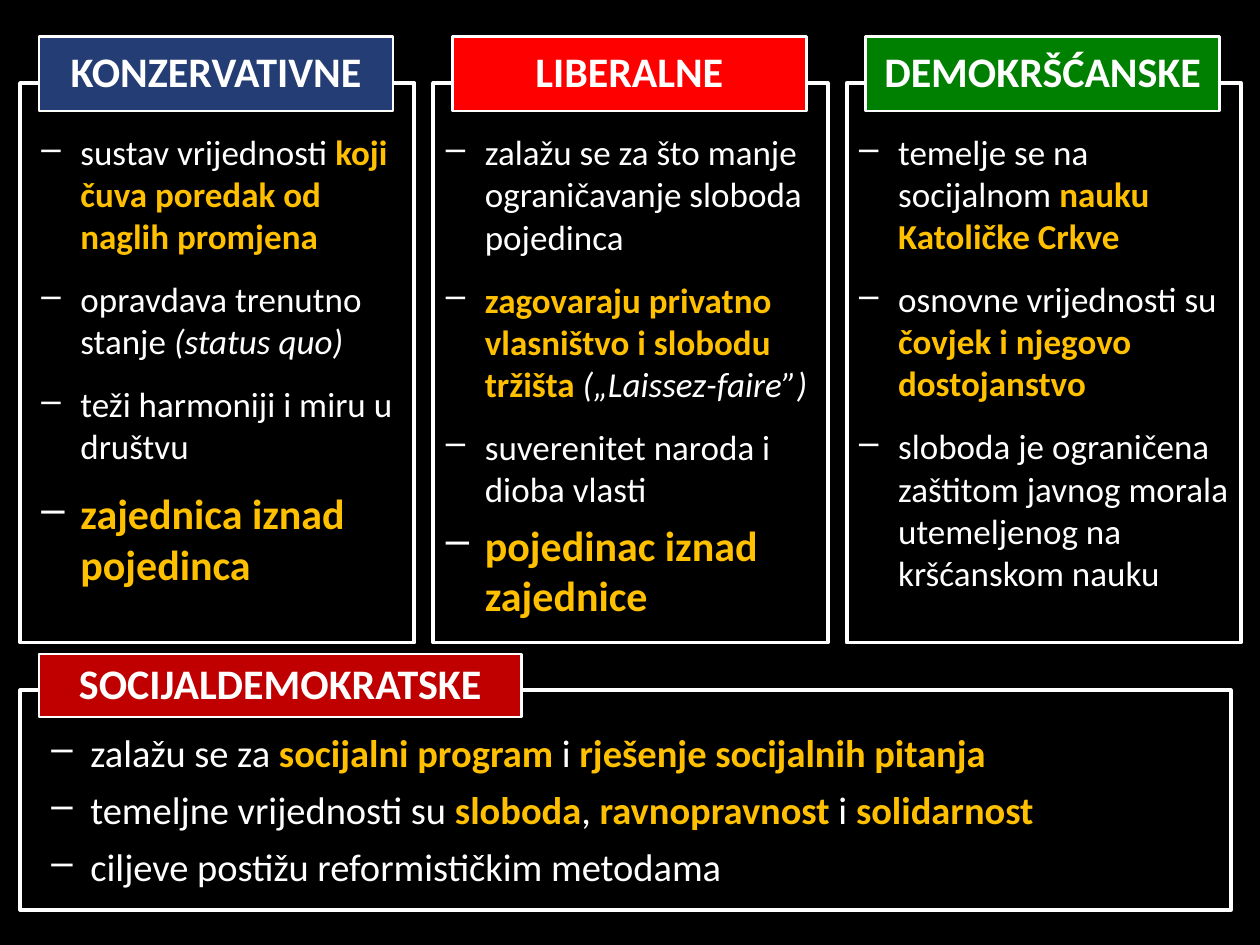
from lxml.etree import SubElement
from pptx import Presentation
from pptx.dml.color import RGBColor as RGB
from pptx.enum.shapes import MSO_SHAPE as Shape
from pptx.enum.text import MSO_ANCHOR as Anchor, PP_ALIGN as Align
from pptx.oxml.ns import qn
from pptx.util import Inches, Pt

COLORS = {
    "back": "000000", "white": "FFFFFF", "gold": "FFC000",
    "blue": "253D75", "red": "FF0000", "green": "008000", "dark": "C00000",
}
HEX = {name: RGB.from_string(code) for name, code in COLORS.items()}

deck = Presentation()
deck.slide_width, deck.slide_height = Inches(10), Inches(7.5)
slide = deck.slides.add_slide(deck.slide_layouts[6])
slide.background.fill.solid()
slide.background.fill.fore_color.rgb = HEX["back"]


def add_box(area, width, fill=None, title=""):
    box = slide.shapes.add_shape(Shape.RECTANGLE, *map(Inches, area))
    box.shadow.inherit = False
    box.line.color.rgb = HEX["white"]
    box.line.width = Pt(width)
    if not fill:
        box.fill.background()
        return
    box.fill.solid()
    box.fill.fore_color.rgb = HEX[fill]
    frame = box.text_frame
    frame.word_wrap = True
    frame.vertical_anchor = Anchor.MIDDLE
    para = frame.paragraphs[0]
    para.text = title
    para.alignment = Align.CENTER
    para.line_spacing = 0.93
    font = para.font
    font.name, font.size, font.bold = "Calibri", Pt(24), True
    font.color.rgb = HEX["white"]


def add_list(area, items):
    frame = slide.shapes.add_textbox(*map(Inches, area)).text_frame
    frame.word_wrap = True
    for i, (size, gap, runs) in enumerate(items):
        para = frame.add_paragraph() if i else frame.paragraphs[0]
        para.space_before = Pt(gap)
        # Hanging white dash
        props = para._p.get_or_add_pPr()
        props.set("marL", str(Inches(0.31)))
        props.set("indent", str(-Inches(0.31)))
        tint = SubElement(props, qn("a:buClr"))
        SubElement(tint, qn("a:srgbClr"), val=COLORS["white"])
        SubElement(props, qn("a:buChar"), char="–")
        para.font.name, para.font.size = "Calibri", Pt(size)
        for text, style in runs:
            run = para.add_run()
            run.text = text
            run.font.bold = style == "gold"
            run.font.italic = style == "italic"
            run.font.color.rgb = HEX["gold" if style == "gold" else "white"]


# Three columns: title, fill, text area, items of (size, space before, runs)
columns = [
    ("KONZERVATIVNE", "blue", (0.23, 0.99, 3.05, 3.77), [
        (20, 12, [("sustav vrijednosti ", "plain"),
                  ("koji čuva poredak od naglih promjena", "gold")]),
        (20, 12, [("opravdava trenutno stanje ", "plain"),
                  ("(status quo)", "italic")]),
        (20, 12, [("teži harmoniji i miru u društvu", "plain")]),
        (24, 12, [("zajednica iznad pojedinca", "gold")]),
    ]),
    ("LIBERALNE", "red", (3.44, 0.99, 3.2, 4.11), [
        (20, 12, [("zalažu se za što manje ograničavanje sloboda pojedinca",
                   "plain")]),
        (20, 12, [("zagovaraju privatno vlasništvo i slobodu tržišta ", "gold"),
                  ("(„Laissez-faire”)", "italic")]),
        (20, 12, [("suverenitet naroda i dioba vlasti", "plain")]),
        (24, 6, [("pojedinac iznad zajednice", "gold")]),
    ]),
    ("DEMOKRŠĆANSKE", "green", (6.72, 0.99, 3.13, 3.8), [
        (20, 12, [("temelje se na socijalnom ", "plain"),
                  ("nauku Katoličke Crkve", "gold")]),
        (20, 12, [("osnovne vrijednosti su ", "plain"),
                  ("čovjek i njegovo dostojanstvo", "gold")]),
        (20, 12, [("sloboda je ograničena zaštitom javnog morala "
                   "utemeljenog na kršćanskom nauku", "plain")]),
    ]),
]
for col, (title, fill, area, items) in enumerate(columns):
    shift = col * 3.28
    add_box((0.16 + shift, 0.66, 3.13, 4.44), 2.25)
    add_box((0.31 + shift, 0.29, 2.81, 0.59), 1.5, fill, title)
    add_list(area, items)

# Wide panel at the bottom
add_box((0.16, 5.48, 9.61, 1.74), 2.25)
add_box((0.31, 5.19, 3.83, 0.5), 1.5, "dark", "SOCIJALDEMOKRATSKE")
add_list((0.31, 5.74, 9.3, 1.38), [
    (22, 6, [("zalažu se za ", "plain"), ("socijalni program", "gold"),
             (" i ", "plain"), ("rješenje socijalnih pitanja", "gold")]),
    (22, 6, [("temeljne vrijednosti su ", "plain"), ("sloboda", "gold"),
             (", ", "plain"), ("ravnopravnost", "gold"),
             (" i ", "plain"), ("solidarnost", "gold")]),
    (22, 6, [("ciljeve postižu reformističkim metodama", "plain")]),
])

deck.save("out.pptx")
